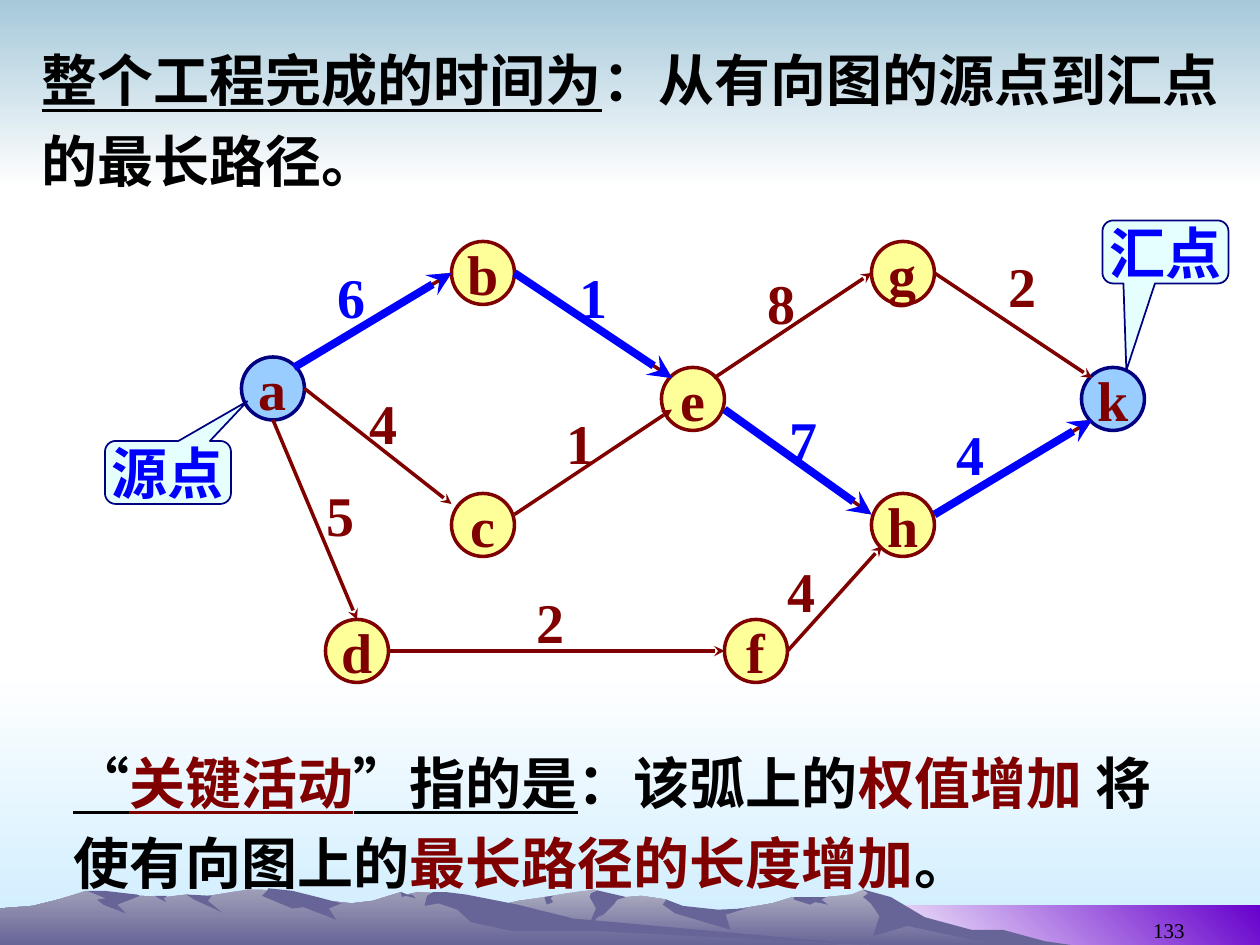
import lxml.etree
import pptx
import pptx.dml.color
import pptx.enum.lang
import pptx.enum.shapes
import pptx.enum.text
import pptx.oxml.ns
import pptx.util

RGBColor = pptx.dml.color.RGBColor
Shapes = pptx.enum.shapes.MSO_SHAPE
Align = pptx.enum.text.PP_ALIGN
Anchor = pptx.enum.text.MSO_ANCHOR

BLACK = RGBColor(0x00, 0x00, 0x00)
WHITE = RGBColor(0xFF, 0xFF, 0xFF)
MAROON = RGBColor(0x80, 0x00, 0x00)
NAVY = RGBColor(0x00, 0x00, 0x80)
BLUE = RGBColor(0x00, 0x00, 0xFF)
SKY = RGBColor(0x99, 0xCC, 0xFF)
YELLOW = RGBColor(0xFF, 0xFF, 0x99)
ICE = RGBColor(0xCC, 0xFF, 0xFF)
PALE_BLUE = RGBColor(0xCC, 0xEC, 0xFF)
STEEL = RGBColor(0xA6, 0xC9, 0xDA)
VIOLET = RGBColor(0x66, 0x00, 0xCC)
SLATE = RGBColor(0x67, 0x65, 0x97)
LILAC = RGBColor(0xAE, 0xAE, 0xC2)
MAUVE = RGBColor(0x9F, 0x9E, 0xB8)

WIDTH = pptx.util.Inches(10)
HEIGHT = pptx.util.Inches(7.5)
COLUMNS = 120
CELL = WIDTH / COLUMNS
FINE_CELL = WIDTH / 1000
NODE_SIZE = 6
DOWN = 270

NODES = {
    "a": (23, 34), "b": (43, 23), "c": (43, 47), "d": (31, 59), "e": (63, 35),
    "f": (69, 59), "g": (83, 23), "h": (83, 47), "k": (103, 35),
}
END_NODES = "ak"

PLAIN_EDGES = [
    ((29, 37), (43, 48), "4", (34, 36.4)),
    ((49, 49), (64, 39), "1", (52.8, 38.3)),
    ((68, 36), (83, 26), "8", (71.9, 25)),
    ((89, 26), (104, 36), "2", (94.9, 23.4)),
    ((26, 40), (34, 59), "5", (29.9, 45.2)),
    ((37, 62), (69, 62), "2", (49.9, 55.4)),
    ((75, 62), (84, 52), "4", (73.8, 52.4)),
]
CRITICAL_EDGES = [
    ((28, 35), (43, 26), "6", (31, 24.4)),
    ((49, 26), (64, 36), "1", (54, 24.4)),
    ((69, 39), (83, 49), "7", (74, 38)),
    ((89, 49), (104, 40), "4", (89.9, 39.4)),
]

RIGHT_RIDGE = [
    (802, 746), (764, 738), (723, 725), (702, 712), (685, 706), (676, 710),
    (656, 712), (629, 712), (613, 717), (566, 725), (536, 721), (529, 714),
    (509, 711), (486, 713), (471, 706), (450, 709), (433, 712), (412, 715),
    (394, 719), (355, 725), (327, 731), (277, 745), (258, 750), (820, 750),
]
LEFT_RIDGE = [
    (690, 750), (667, 750), (432, 732), (354, 709), (331, 708), (323, 710),
    (318, 708), (296, 715), (279, 717), (260, 715), (236, 717), (223, 708),
    (208, 706), (196, 706), (178, 709), (160, 712), (148, 710), (132, 712),
    (111, 711), (94, 712), (68, 707), (56, 711), (46, 714), (26, 719),
    (0, 721), (0, 750),
]
RIGHT_SHADES = [
    [(796, 738), (771, 738), (734, 728), (707, 712), (685, 706), (689, 709),
     (685, 712), (691, 717), (698, 727), (693, 743), (720, 735), (792, 750),
     (850, 750), (829, 747)],
    [(471, 706), (474, 707), (469, 709), (468, 712), (473, 721), (465, 740),
     (474, 728), (479, 726), (487, 718), (490, 714), (497, 712)],
    [(529, 714), (526, 718), (536, 725), (580, 738), (576, 726), (592, 721),
     (570, 722), (542, 719)],
    [(650, 712), (630, 712), (630, 714), (643, 718), (647, 716), (657, 718),
     (652, 714), (656, 712)],
    [(433, 715), (432, 712), (439, 711), (437, 713), (439, 716), (434, 718)],
]
LEFT_SHADES = [
    [(212, 707), (208, 711), (232, 721), (241, 720), (267, 730), (261, 721),
     (271, 717), (252, 712), (232, 707), (213, 705)],
    [(370, 710), (354, 708), (344, 708), (339, 711), (337, 719), (348, 717),
     (363, 722), (374, 732), (407, 739), (472, 739), (690, 750), (455, 729),
     (411, 718)],
    [(318, 708), (323, 710), (327, 710), (330, 713), (322, 711), (319, 712)],
    [(148, 710), (168, 711), (165, 715), (176, 724), (154, 714)],
    [(133, 711), (130, 713), (132, 716), (126, 713), (123, 711)],
    [(109, 710), (111, 711), (93, 718), (100, 725), (82, 718), (77, 714),
     (84, 713), (69, 707), (83, 707)],
]


def cells(*values):
    return [round(value * CELL) for value in values]


def add_xml(parent, tag, **attributes):
    return lxml.etree.SubElement(parent, pptx.oxml.ns.qn(tag), **attributes)


def fill_gradient(shape, first, last, angle):
    shape.fill.gradient()
    shape.fill.gradient_angle = angle
    for stop, color in zip(shape.fill.gradient_stops, (first, last)):
        stop.color.rgb = color
    shape.line.fill.background()
    shape.shadow.inherit = False


def add_band(slide, box, first, last, angle=DOWN):
    shape = slide.shapes.add_shape(Shapes.RECTANGLE, *cells(*box))
    fill_gradient(shape, first, last, angle)


def add_outline(slide, points, color, last=None):
    builder = slide.shapes.build_freeform(*points[0], scale=FINE_CELL)
    builder.add_line_segments(points[1:], close=True)
    shape = builder.convert_to_shape()
    if last is not None:
        fill_gradient(shape, color, last, DOWN)
        return
    shape.fill.solid()
    shape.fill.fore_color.rgb = color
    shape.line.fill.background()
    shape.shadow.inherit = False


def write_text(paragraph, text, color=MAROON, size=32, bold=True, underline=False,
               align=Align.LEFT, spacing=None):
    paragraph.alignment = align
    paragraph.line_spacing = spacing
    run = paragraph.add_run()
    run.text = text
    font = run.font
    font.name = "Times New Roman"
    font.size = pptx.util.Pt(size)
    font.bold = bold
    font.underline = underline
    font.color.rgb = color
    font.language_id = pptx.enum.lang.MSO_LANGUAGE_ID.SIMPLIFIED_CHINESE


def add_text(slide, box, runs, wrap=True, anchor=Anchor.TOP, **text_format):
    frame = slide.shapes.add_textbox(*cells(*box)).text_frame
    frame.word_wrap = wrap
    frame.vertical_anchor = anchor
    for text, color, underline in runs:
        write_text(frame.paragraphs[0], text, color=color, underline=underline, **text_format)


def add_labelled_shape(slide, kind, box, text, fill, line, weight, color):
    shape = slide.shapes.add_shape(kind, *cells(*box))
    shape.shadow.inherit = False
    shape.fill.solid()
    shape.fill.fore_color.rgb = fill
    shape.line.color.rgb = line
    shape.line.width = pptx.util.Pt(weight)
    shape.text_frame.word_wrap = False
    shape.text_frame.vertical_anchor = Anchor.MIDDLE
    write_text(shape.text_frame.paragraphs[0], text, color=color, align=Align.CENTER)
    return shape


def add_node(slide, name, corner):
    fill, line = (SKY, NAVY) if name in END_NODES else (YELLOW, MAROON)
    box = (*corner, NODE_SIZE, NODE_SIZE)
    add_labelled_shape(slide, Shapes.OVAL, box, name, fill, line, 2, MAROON)


def add_callout(slide, box, text, pointer):
    shape = add_labelled_shape(slide, Shapes.ROUNDED_RECTANGULAR_CALLOUT, box, text,
                               ICE, NAVY, 1, BLUE)
    for index, value in enumerate(pointer):
        shape.adjustments[index] = value
    color = shape.element.spPr.find(".//" + pptx.oxml.ns.qn("a:srgbClr"))
    add_xml(color, "a:alpha", val="50000")


def add_arrow(slide, start, end, color, weight):
    connector = slide.shapes.add_connector(
        pptx.enum.shapes.MSO_CONNECTOR.STRAIGHT, *cells(*start, *end))
    connector.line.color.rgb = color
    connector.line.width = pptx.util.Pt(weight)
    properties = connector.element.spPr
    add_xml(properties.find(pptx.oxml.ns.qn("a:ln")), "a:tailEnd", type="stealth")
    add_xml(properties, "a:effectLst")


def add_scenery(slide):
    add_band(slide, (0, 64, COLUMNS, 26), WHITE, PALE_BLUE)
    add_band(slide, (0, 0, COLUMNS, 18), STEEL, WHITE)
    add_band(slide, (82, 86.25, 38, 3.75), WHITE, VIOLET, angle=45)
    for ridge, top, shades in ((RIGHT_RIDGE, LILAC, RIGHT_SHADES),
                               (LEFT_RIDGE, MAUVE, LEFT_SHADES)):
        add_outline(slide, ridge, top, SLATE)
        for points in shades:
            add_outline(slide, points, SLATE)


def add_network(slide):
    for name, corner in NODES.items():
        add_node(slide, name, corner)
    for start, end, *label in PLAIN_EDGES + CRITICAL_EDGES:
        add_arrow(slide, start, end, MAROON, 2)
    for edges, color in ((PLAIN_EDGES, MAROON), (CRITICAL_EDGES, BLUE)):
        for start, end, weight, corner in edges:
            add_text(slide, (*corner, 5, 7.6), [(weight, color, False)], wrap=False)
    for start, end, *label in CRITICAL_EDGES:
        add_arrow(slide, start, end, BLUE, 4.5)


def main():
    presentation = pptx.Presentation()
    presentation.slide_width, presentation.slide_height = WIDTH, HEIGHT
    slide = presentation.slides.add_slide(presentation.slide_layouts[6])
    add_scenery(slide)
    add_text(slide, (86, 84.4, 28, 6), [("133", BLACK, False)], anchor=Anchor.BOTTOM,
             size=12, bold=False, align=Align.RIGHT)
    add_network(slide)
    add_text(slide, (5.8, 69.4, 110.2, 16.6), [
        ("“", BLACK, True), ("关键活动", MAROON, True), ("”指的是", BLACK, True),
        ("：该弧上的", BLACK, False), ("权值增加", MAROON, False),
        (" 将使有向图上的", BLACK, False), ("最长路径的长度增加", MAROON, False),
        ("。", BLACK, False)], spacing=1.2)
    add_text(slide, (2.8, 2.5, 115.2, 16.6), [
        ("整个工程完成的时间为", BLACK, True),
        ("：从有向图的源点到汇点的最长路径。", BLACK, False)], spacing=1.2)
    add_callout(slide, (10, 42, 12, 6), "源点", (0.63, -1.13, 0.17))
    add_callout(slide, (105, 21, 12, 6), "汇点", (-0.31, 1.88, 0.17))
    presentation.save("out.pptx")


if __name__ == "__main__":
    main()
